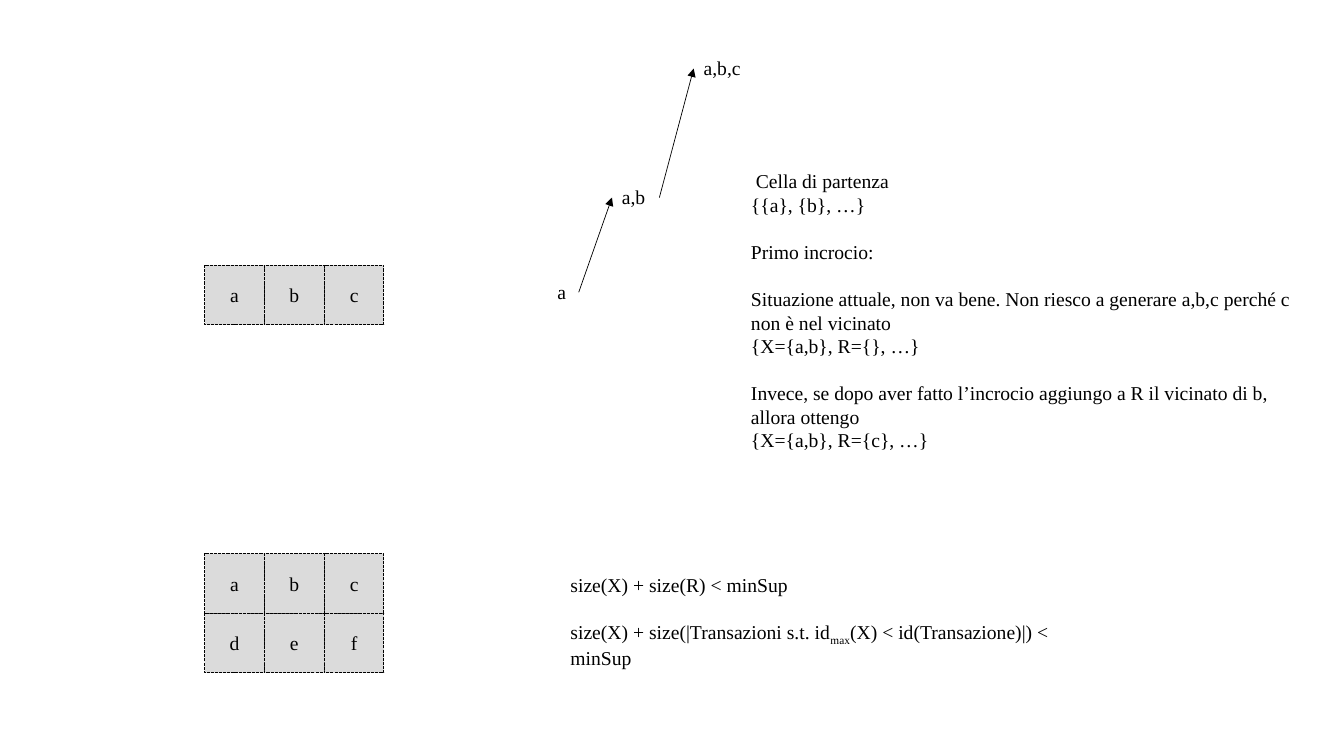
from lxml import etree
from pptx import Presentation
from pptx.dml.color import RGBColor
from pptx.enum.dml import MSO_LINE
from pptx.enum.shapes import MSO_CONNECTOR, MSO_SHAPE
from pptx.enum.text import MSO_ANCHOR, PP_ALIGN
from pptx.oxml.ns import qn
from pptx.util import Inches, Pt

BLACK = RGBColor(0x00, 0x00, 0x00)
GRAY = RGBColor(0xA6, 0xA6, 0xA6)
FONT = "Times New Roman"
SIZE = Pt(14)
LINE_GAP = Pt(16.8)
CELL = 0.593


def style_run(r):
    r.font.name = FONT
    r.font.size = SIZE
    r.font.color.rgb = BLACK


def add_cell(slide, x, y, label):
    sp = slide.shapes.add_shape(
        MSO_SHAPE.RECTANGLE, Inches(x), Inches(y), Inches(CELL), Inches(CELL))
    sp.shadow.inherit = False
    sp.fill.solid()
    sp.fill.fore_color.rgb = GRAY
    color = sp.fill._xPr.find(qn("a:solidFill"))[0]
    etree.SubElement(color, qn("a:alpha")).set("val", "40000")
    sp.line.color.rgb = BLACK
    sp.line.width = Pt(0.75)
    sp.line.dash_style = MSO_LINE.SQUARE_DOT
    sp.line._ln.find(qn("a:prstDash")).set("val", "sysDash")
    tf = sp.text_frame
    tf.vertical_anchor = MSO_ANCHOR.MIDDLE
    tf.text = label
    p = tf.paragraphs[0]
    p.alignment = PP_ALIGN.CENTER
    style_run(p.runs[0])


def add_grid(slide, x, y, rows):
    for i, row in enumerate(rows):
        for j, label in enumerate(row):
            add_cell(slide, x + j * CELL, y + i * CELL, label)


def add_text(slide, x, y, w, h, blocks, wrap=True):
    tf = slide.shapes.add_textbox(
        Inches(x), Inches(y), Inches(w), Inches(h)).text_frame
    tf.word_wrap = wrap
    lines = [(text, b > 0 and k == 0)
             for b, block in enumerate(blocks) for k, text in enumerate(block)]
    for i, (text, gap) in enumerate(lines):
        p = tf.paragraphs[0] if i == 0 else tf.add_paragraph()
        p.text = text
        style_run(p.runs[0])
        if gap:
            p.space_before = LINE_GAP
    return tf


def add_arrow(slide, x1, y1, x2, y2):
    s = slide.shapes.add_connector(
        MSO_CONNECTOR.STRAIGHT, Inches(x1), Inches(y1), Inches(x2), Inches(y2))
    s.line.color.rgb = BLACK
    s.line.width = Pt(0.5)
    etree.SubElement(s.line._ln, qn("a:tailEnd")).set("type", "triangle")
    etree.SubElement(s._element.spPr, qn("a:effectLst"))


def add_itemset_path(slide, x, y):
    add_arrow(slide, x + 0.31, y + 2.39, x + 0.64, y + 1.45)
    add_text(slide, x + 0.64, y + 1.28, 0.47, 0.34, [["a,b"]])
    add_text(slide, x + 1.45, y, 0.59, 0.34, [["a,b,c"]], wrap=False)
    add_arrow(slide, x + 1.11, y + 1.45, x + 1.45, y + 0.17)
    add_text(slide, x, y + 2.22, 0.47, 0.34, [["a"]])


def add_conditions(slide, x, y, w, h):
    tf = add_text(slide, x, y, w, h, [
        ["size(X) + size(R) < minSup"],
        ["size(X) + size(|Transazioni s.t. id"],
    ], wrap=False)
    p = tf.paragraphs[-1]
    for text in ("max", "(X) < id(Transazione)|) < minSup"):
        r = p.add_run()
        r.text = text
        style_run(r)
    p.runs[1].font._rPr.set("baseline", "-25000")


def add_explanation(slide, x, y, w, h):
    add_text(slide, x, y, w, h, [
        [" Cella di partenza", "{{a}, {b}, …}"],
        ["Primo incrocio:"],
        ["Situazione attuale, non va bene. Non riesco a generare a,b,c "
         "perché c non è nel vicinato",
         "{X={a,b}, R={}, …}"],
        ["Invece, se dopo aver fatto l’incrocio aggiungo a R il vicinato "
         "di b, allora ottengo",
         "{X={a,b}, R={c}, …}"],
    ])


def main():
    prs = Presentation()
    prs.slide_width = Inches(13.33)
    prs.slide_height = Inches(7.5)
    slide = prs.slides.add_slide(prs.slide_layouts[6])
    add_grid(slide, 2.03, 2.63, ["abc"])
    add_itemset_path(slide, 5.43, 0.51)
    add_conditions(slide, 5.56, 5.63, 5.57, 0.89)
    add_grid(slide, 2.03, 5.49, ["abc", "def"])
    add_explanation(slide, 7.35, 1.63, 5.69, 0.34)
    prs.save("out.pptx")


if __name__ == "__main__":
    main()
